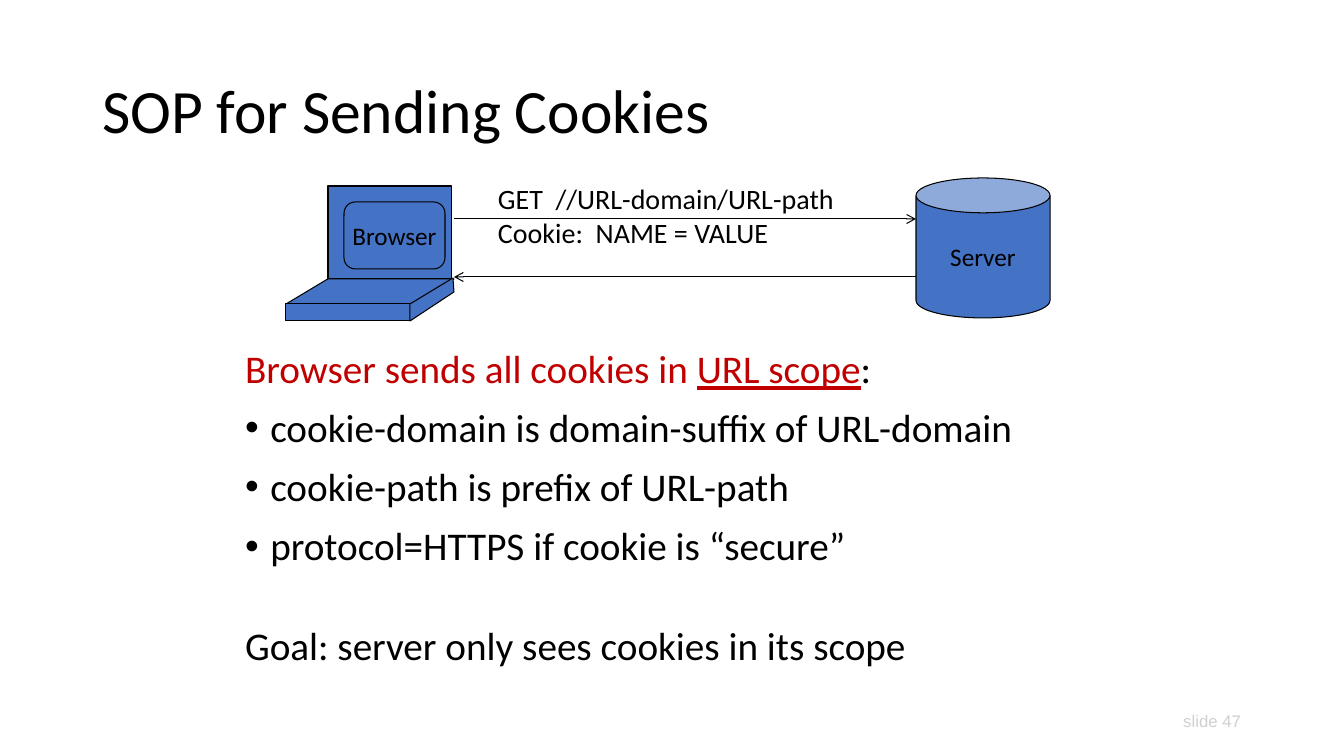
from lxml.etree import SubElement
from pptx import Presentation
from pptx.dml.color import RGBColor
from pptx.enum.shapes import MSO_CONNECTOR as Line, MSO_SHAPE as Shape
from pptx.enum.text import MSO_ANCHOR as Anchor, PP_ALIGN as Align
from pptx.oxml.ns import qn
from pptx.util import Emu, Pt

COLORS = {"ink": "000000", "accent": "C00000", "device": "4472C4", "faint": "D0D0D0"}

TITLE = "SOP for Sending Cookies"
TITLE_BOX = (92, 41, 1159, 146)
RULES_BOX = (235, 345, 890, 361)
RULES = [
    ([("Browser sends all cookies in ", "accent", False), ("URL scope", "accent", True),
      (":", "ink", False)], "", 10),
    ("cookie-domain is domain-suffix of URL-domain", "•", 11.5),
    ("cookie-path is prefix of URL-path", "•", 12),
    ("protocol=HTTPS if cookie is “secure”", "•", 12),
    ("Goal: server only sees cookies in its scope", "", 41),
]
REQUEST = ["GET  //URL-domain/URL-path", "Cookie:  NAME = VALUE"]
REQUEST_BOX = (488, 177, 360, 78)
PAGE = "slide 47"
PAGE_BOX = (950, 705, 301, 32)

DEVICES = [
    (Shape.RECTANGLE, (328, 186, 124, 93), None, ""),
    (Shape.ROUNDED_RECTANGLE, (344, 202, 101, 67), 0.17, "Browser"),
    (Shape.PARALLELOGRAM, (286, 279, 168, 25), 1.67, ""),
    (Shape.RECTANGLE, (286, 304, 125, 17), None, ""),
    (Shape.CAN, (916, 178, 134, 140), 0.26, "Server"),
]
LAPTOP_EDGE = [(410, 321), (454, 292), (453, 278), (410, 304)]
MESSAGES = [((454, 219), (916, 219)), ((916, 277), (454, 277))]


def px(length):
    return Emu(round(length * 914400 / 100.8))


def box(lengths):
    return [px(length) for length in lengths]


def rgb(name):
    return RGBColor.from_string(COLORS[name])


def write(paragraph, text, size, color="ink", underline=False, font="Calibri",
          align=Align.LEFT, line_spacing=None, before=0):
    run = paragraph.add_run()
    run.text = text
    run.font.size = Pt(size)
    run.font.name = font
    run.font.color.rgb = rgb(color)
    run.font.underline = underline
    paragraph.alignment = align
    paragraph.line_spacing = line_spacing
    paragraph.space_before = Pt(before)


def add_paragraph(frame, index):
    return frame.add_paragraph() if index else frame.paragraphs[0]


def place(placeholder, lengths):
    placeholder.left, placeholder.top, placeholder.width, placeholder.height = box(lengths)


def set_bullet(paragraph, mark):
    props = paragraph._p.get_or_add_pPr()
    props.set("marL", "228600")
    props.set("indent", "-228600")
    if mark:
        SubElement(props, qn("a:buFont"), typeface="Arial")
        SubElement(props, qn("a:buChar"), char=mark)
    else:
        SubElement(props, qn("a:buNone"))


def paint(device):
    device.shadow.inherit = False
    device.fill.solid()
    device.fill.fore_color.rgb = rgb("device")
    device.line.color.rgb = rgb("ink")
    device.line.width = Pt(0.75)


def add_message(slide, start, end):
    arrow = slide.shapes.add_connector(Line.STRAIGHT, *box(start + end))
    arrow.line.color.rgb = rgb("ink")
    arrow.line.width = Pt(0.75)
    SubElement(arrow.line._get_or_add_ln(), qn("a:tailEnd"), type="arrow")
    SubElement(arrow._element.spPr, qn("a:effectLst"))


def main():
    deck = Presentation()
    deck.slide_width, deck.slide_height = box((1344, 756))
    slide = deck.slides.add_slide(deck.slide_layouts[1])

    title, rules = slide.placeholders
    place(title, TITLE_BOX)
    title.text_frame.vertical_anchor = Anchor.MIDDLE
    write(title.text_frame.paragraphs[0], TITLE, 44, line_spacing=0.9)

    place(rules, RULES_BOX)
    for index, (rule, mark, before) in enumerate(RULES):
        paragraph = add_paragraph(rules.text_frame, index)
        parts = [(rule, "ink", False)] if isinstance(rule, str) else rule
        for text, color, underline in parts:
            write(paragraph, text, 28, color=color, underline=underline,
                  line_spacing=0.9, before=before)
        set_bullet(paragraph, mark)

    request = slide.shapes.add_textbox(*box(REQUEST_BOX)).text_frame
    request.word_wrap = False
    for index, text in enumerate(REQUEST):
        write(add_paragraph(request, index), text, 20)

    for kind, lengths, adjustment, label in DEVICES:
        device = slide.shapes.add_shape(kind, *box(lengths))
        paint(device)
        if adjustment:
            device.adjustments[0] = adjustment
        if label:
            device.text_frame.word_wrap = False
            device.text_frame.vertical_anchor = Anchor.MIDDLE
            write(device.text_frame.paragraphs[0], label, 18, align=Align.CENTER)

    corners = [box(corner) for corner in LAPTOP_EDGE]
    outline = slide.shapes.build_freeform(*corners[0])
    outline.add_line_segments(corners[1:], close=True)
    paint(outline.convert_to_shape())

    for start, end in MESSAGES:
        add_message(slide, start, end)

    page = slide.shapes.add_textbox(*box(PAGE_BOX)).text_frame
    page.word_wrap = True
    page.vertical_anchor = Anchor.MIDDLE
    write(page.paragraphs[0], PAGE, 12, color="faint", font="Arial", align=Align.RIGHT)

    deck.save("out.pptx")


if __name__ == "__main__":
    main()
